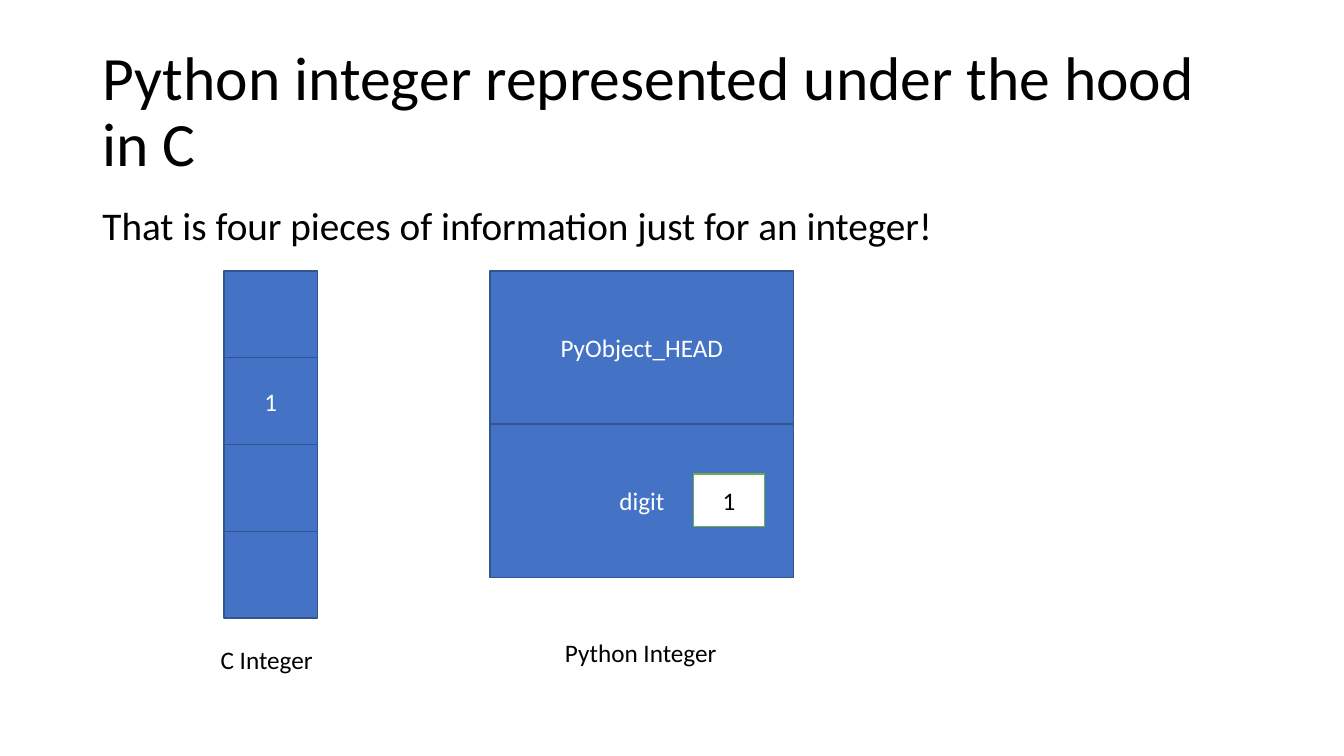
from collections import namedtuple
from dataclasses import dataclass

from lxml.etree import SubElement
from pptx import Presentation
from pptx.dml.color import RGBColor as Color
from pptx.enum.shapes import MSO_SHAPE as Shape
from pptx.enum.text import MSO_ANCHOR as Anchor, MSO_AUTO_SIZE as AutoSize, PP_ALIGN as Align
from pptx.oxml.ns import qn
from pptx.util import Pt

Box = namedtuple("Box", "left top width height")


@dataclass(frozen=True)
class Theme:
    font: str = "Calibri"
    title_size: int = 44
    body_size: int = 28
    label_size: int = 18
    ink: Color = Color(0x00, 0x00, 0x00)
    paper: Color = Color(0xFF, 0xFF, 0xFF)
    block: Color = Color(0x44, 0x72, 0xC4)
    block_edge: Color = Color(0x32, 0x54, 0x91)
    value_edge: Color = Color(0x70, 0xAD, 0x47)


THEME = Theme()


def in_points(box):
    return [Pt(length) for length in box]


def write(frame, text, size, color, align=Align.LEFT):
    frame.text = text
    para = frame.paragraphs[0]
    para.alignment = align
    para.font.name = THEME.font
    para.font.size = Pt(size)
    para.font.color.rgb = color
    return para


def fill_placeholder(holder, box, text, size, anchor):
    holder.left, holder.top, holder.width, holder.height = in_points(box)
    frame = holder.text_frame
    frame.word_wrap = True
    frame.auto_size = AutoSize.NONE
    frame.vertical_anchor = anchor
    para = write(frame, text, size, THEME.ink)
    para.line_spacing = 0.9
    return para


def add_cell(page, box, text="", fill=THEME.block, edge=THEME.block_edge, color=THEME.paper):
    cell = page.shapes.add_shape(Shape.RECTANGLE, *in_points(box))
    cell.shadow.inherit = False
    cell.fill.solid()
    cell.fill.fore_color.rgb = fill
    cell.line.color.rgb = edge
    cell.line.width = Pt(1)
    if text:
        cell.text_frame.vertical_anchor = Anchor.MIDDLE
        write(cell.text_frame, text, THEME.label_size, color, Align.CENTER)


def add_stack(page, box, labels):
    """Divide the box into equal cells, one below the other."""
    height = box.height / len(labels)
    for row, label in enumerate(labels):
        add_cell(page, Box(box.left, box.top + row * height, box.width, height), label)


def add_caption(page, box, text):
    frame = page.shapes.add_textbox(*in_points(box)).text_frame
    frame.word_wrap = False
    frame.auto_size = AutoSize.SHAPE_TO_FIT_TEXT
    write(frame, text, THEME.label_size, THEME.ink)


def add_heading(page, box):
    title, body = page.placeholders
    fill_placeholder(title, box._replace(height=104.4),
                     "Python integer represented under the hood in C",
                     THEME.title_size, Anchor.MIDDLE)
    para = fill_placeholder(body, Box(box.left, box.top + 115, box.width, box.height - 115),
                            "That is four pieces of information just for an integer!",
                            THEME.body_size, Anchor.TOP)
    para.space_before = Pt(10)
    # Plain paragraph without a bullet
    props = para._p.get_or_add_pPr()
    props.set("marL", "0")
    props.set("indent", "0")
    SubElement(props, qn("a:buNone"))


def add_c_integer(page, box):
    add_stack(page, box, ["", "1", "", ""])
    add_caption(page, Box(box.left - 9.5, box.top + box.height + 15, 81.5, 29), "C Integer")


def add_python_integer(page, box):
    add_stack(page, box, ["PyObject_HEAD", "digit"])
    add_caption(page, Box(box.left + 46.5, box.top + box.height + 39.5, 124, 29),
                "Python Integer")
    # Stored value, beside the digit label
    add_cell(page, Box(box.left + 145.5, box.top + 145, 50.5, 37.5), "1",
             THEME.paper, THEME.value_edge, THEME.ink)


def main():
    deck = Presentation()
    deck.slide_width, deck.slide_height = Pt(960), Pt(540)
    page = deck.slides.add_slide(deck.slide_layouts[1])
    add_heading(page, Box(66, 29, 828, 458))
    add_c_integer(page, Box(160, 193.5, 67, 248))
    add_python_integer(page, Box(350, 193.5, 217, 219))
    deck.save("out.pptx")


if __name__ == "__main__":
    main()
